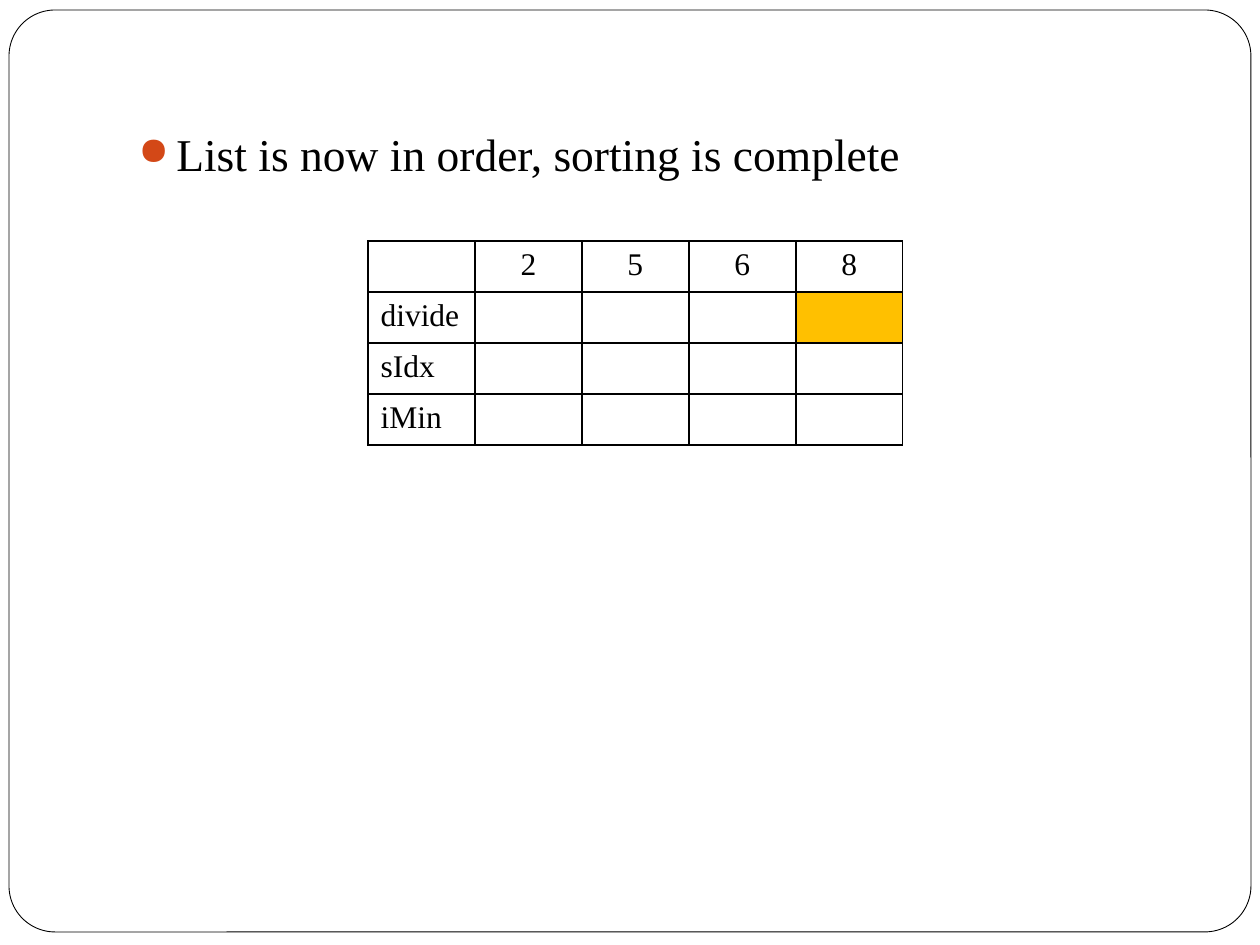
import lxml.etree
import pptx
import pptx.dml.color
import pptx.enum.shapes
import pptx.enum.text
import pptx.oxml
import pptx.oxml.ns
import pptx.util

PX = 914400 / 126
COLORS = {"ink": "000000", "paper": "FFFFFF", "bullet": "D34817", "marker": "FFC000"}
FONT = "Times New Roman"
qn = pptx.oxml.ns.qn


def emu(*lengths):
    return [pptx.util.Emu(round(length * PX)) for length in lengths]


def write(frame, text, size=18, align=None, bullet=None):
    paragraph = frame.paragraphs[0]
    paragraph.text = text
    if align is not None:
        paragraph.alignment = align
    if bullet:
        props = paragraph._p.get_or_add_pPr()
        hang = emu(38)[0]
        props.set("marL", str(hang))
        props.set("indent", str(-hang))
        color = lxml.etree.SubElement(props, qn("a:buClr"))
        lxml.etree.SubElement(color, qn("a:srgbClr"), val=COLORS["bullet"])
        lxml.etree.SubElement(props, qn("a:buSzPct"), val="85000")
        lxml.etree.SubElement(props, qn("a:buChar"), char=bullet)
    paragraph.font.name = FONT
    paragraph.font.size = pptx.util.Pt(size)
    paragraph.font.color.rgb = rgb("ink")


rgb = lambda name: pptx.dml.color.RGBColor.from_string(COLORS[name])

prs = pptx.Presentation()
prs.slide_width, prs.slide_height = emu(1260, 945)
slide = prs.slides.add_slide(prs.slide_layouts[6])

border = slide.shapes.add_shape(
    pptx.enum.shapes.MSO_SHAPE.ROUNDED_RECTANGLE, *emu(9, 10, 1242, 922))
border.adjustments[0] = 0.05
border.shadow.inherit = False
border.fill.solid()
border.fill.fore_color.rgb = rgb("paper")
border.line.color.rgb = rgb("ink")
border.line.width = pptx.util.Pt(0.5)

statement = slide.shapes.add_textbox(*emu(126, 120, 1071, 80)).text_frame
statement.word_wrap = True
write(statement, "List is now in order, sorting is complete", size=26, bullet="●")

rows = [
    ["", "2", "5", "6", "8"],
    ["divide", "", "", "", ""],
    ["sIdx", "", "", "", ""],
    ["iMin", "", "", "", ""],
]
marked_cell = (1, 4)
column_width, row_height = 107, 51
trace = slide.shapes.add_table(
    len(rows), len(rows[0]),
    *emu(368, 241, column_width * len(rows[0]), row_height * len(rows))).table
trace.first_row = trace.horz_banding = False
for column in trace.columns:
    column.width = emu(column_width)[0]
for row in trace.rows:
    row.height = emu(row_height)[0]

for r, values in enumerate(rows):
    for c, value in enumerate(values):
        cell = trace.cell(r, c)
        write(cell.text_frame, value,
              align=pptx.enum.text.PP_ALIGN.CENTER if c else pptx.enum.text.PP_ALIGN.LEFT)
        props = cell._tc.get_or_add_tcPr()
        for side in ("a:lnL", "a:lnR", "a:lnT", "a:lnB"):
            edge = lxml.etree.SubElement(props, qn(side), w="12700")
            fill = lxml.etree.SubElement(edge, qn("a:solidFill"))
            lxml.etree.SubElement(fill, qn("a:srgbClr"), val=COLORS["ink"])
        cell.fill.solid()
        cell.fill.fore_color.rgb = rgb("marker" if (r, c) == marked_cell else "paper")

prs.save("out.pptx")
